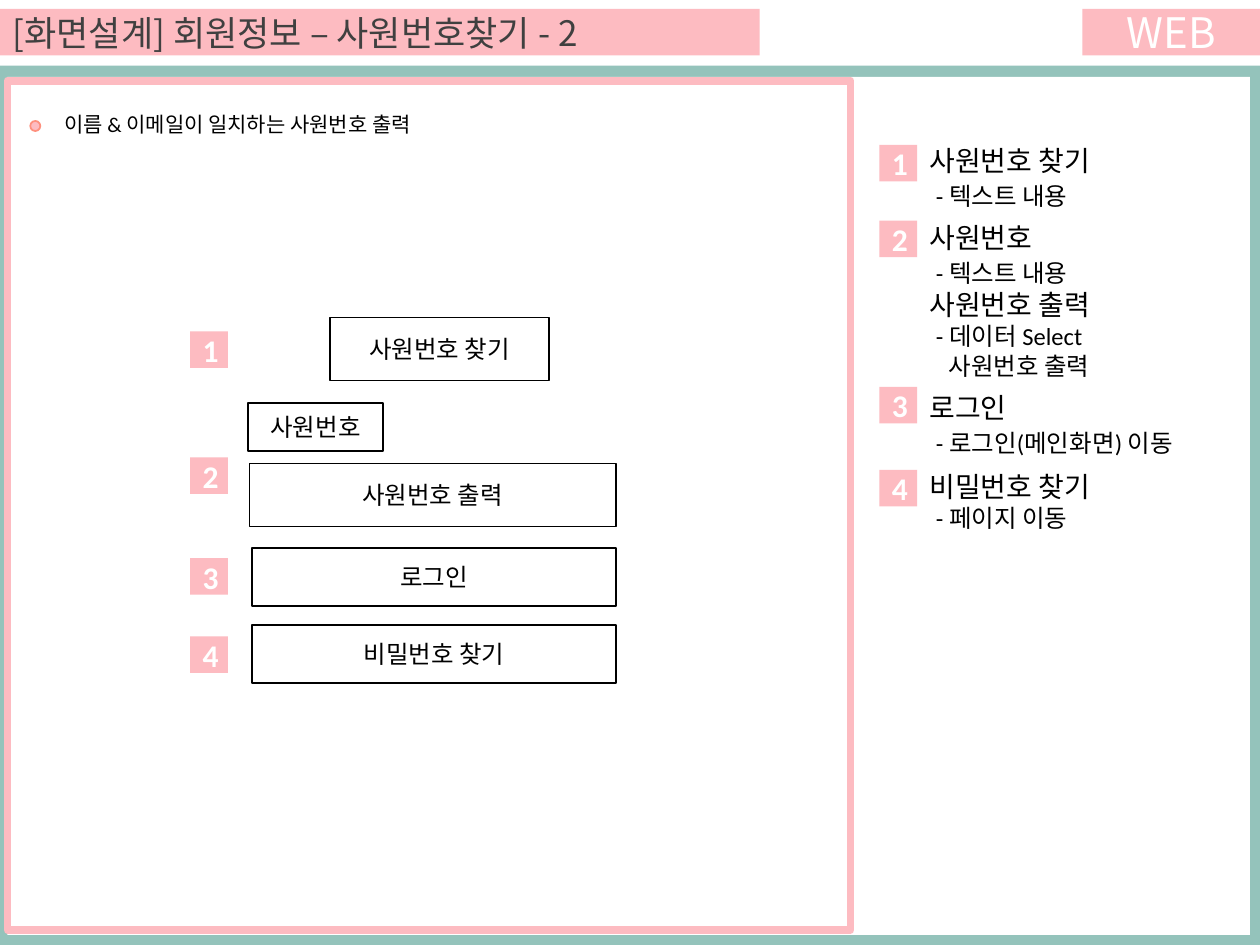
import pptx
import pptx.dml.color
import pptx.enum.shapes
import pptx.enum.text
import pptx.util

Inches = pptx.util.Inches
Pt = pptx.util.Pt
RGBColor = pptx.dml.color.RGBColor
Shape = pptx.enum.shapes.MSO_SHAPE
Align = pptx.enum.text.PP_ALIGN
Anchor = pptx.enum.text.MSO_ANCHOR

PINK = RGBColor(0xFD, 0xBB, 0xC1)
CORAL = RGBColor(0xFE, 0x90, 0x7E)
TEAL = RGBColor(0x94, 0xC3, 0xBB)
WHITE = RGBColor(0xFF, 0xFF, 0xFF)
BLACK = RGBColor(0x00, 0x00, 0x00)
GRAY = RGBColor(0x40, 0x40, 0x40)
BODY_FONT = "Calibri"
HEADER_FONT = "Noto Sans CJK KR"


def write(paragraph, text, size=14, color=BLACK, font=BODY_FONT, bold=False,
          align=Align.LEFT, indent=0, before=0):
    properties = paragraph._p.get_or_add_pPr()
    properties.set("marL", str(Inches(indent)))
    properties.set("indent", "0")
    paragraph.alignment = align
    paragraph.space_before = Pt(before)
    run = paragraph.add_run()
    run.text = text
    run.font.size = Pt(size)
    run.font.name = font
    run.font.bold = bold
    run.font.color.rgb = color


def add_box(slide, box, fill=None, line=None, line_width=1, kind=Shape.RECTANGLE,
            text=None, **text_format):
    shape = slide.shapes.add_shape(kind, *map(Inches, box))
    shape.shadow.inherit = False
    if fill is None:
        shape.fill.background()
    else:
        shape.fill.solid()
        shape.fill.fore_color.rgb = fill
    if line is None:
        shape.line.fill.background()
    else:
        shape.line.color.rgb = line
        shape.line.width = Pt(line_width)
    if text:
        shape.text_frame.vertical_anchor = Anchor.MIDDLE
        write(shape.text_frame.paragraphs[0], text, align=Align.CENTER, **text_format)


def add_text_frame(slide, box):
    frame = slide.shapes.add_textbox(*map(Inches, box)).text_frame
    frame.word_wrap = True
    return frame


def add_number(slide, left, top, number):
    add_box(slide, (left, top, 0.3, 0.29), PINK, text=str(number),
            size=18, color=WHITE, bold=True)


def add_header(slide, top, height):
    title = slide.shapes.title
    title.left, title.top, title.width, title.height = map(Inches, (0, top, 6.03, height))
    title.fill.solid()
    title.fill.fore_color.rgb = PINK
    frame = title.text_frame
    frame.auto_size = pptx.enum.text.MSO_AUTO_SIZE.NONE
    frame.vertical_anchor = Anchor.MIDDLE
    write(frame.paragraphs[0], "[화면설계] 회원정보 – 사원번호찾기 - 2",
          size=20, color=GRAY, font=HEADER_FONT)
    add_box(slide, (8.59, top, 1.41, height), PINK, text="WEB",
            size=24, color=WHITE, font=HEADER_FONT)


def add_frame(slide, left, top, width, height):
    add_box(slide, (left, top, width, height), TEAL)
    add_box(slide, (left + 0.06, top + 0.09, width - 0.14, height - 0.17), WHITE)
    add_box(slide, (left + 0.06, top + 0.12, 6.69, 6.74), line=PINK, line_width=4.5)


def add_summary(slide, left, top):
    add_box(slide, (left, top + 0.12, 0.08, 0.08), PINK, CORAL, kind=Shape.OVAL)
    frame = add_text_frame(slide, (left + 0.13, top, 3.86, 0.3))
    write(frame.paragraphs[0], "이름 & 이메일이 일치하는 사원번호 출력",
          size=12, indent=0.04)


def add_wireframe(slide, left, top):
    """Draw the screen's fields, with their numbers down the left side."""
    fields = [
        (1.11, 0, 1.74, 0.5, "사원번호 찾기"),
        (0.46, 0.68, 1.07, 0.38, "사원번호"),
        (0.47, 1.16, 2.91, 0.5, "사원번호 출력"),
        (0.49, 1.83, 2.89, 0.46, "로그인"),
        (0.49, 2.44, 2.89, 0.46, "비밀번호 찾기"),
    ]
    for x, y, width, height, label in fields:
        add_box(slide, (left + x, top + y, width, height), WHITE, BLACK, text=label)
    for number, y in enumerate((0.11, 1.11, 1.91, 2.53), start=1):
        add_number(slide, left, top + y, number)


def add_description(slide, left, top, width, height, number, number_offset, lines):
    add_number(slide, left, top + number_offset, number)
    frame = add_text_frame(slide, (left + 0.3, top, width - 0.3, height))
    for index, (text, line_format) in enumerate(lines):
        paragraph = frame.add_paragraph() if index else frame.paragraphs[0]
        write(paragraph, text, **line_format)


def add_descriptions(slide, left, width):
    heading = {"size": 16}
    detail = {"indent": 0.05}
    spaced_detail = {"indent": 0.05, "before": 2.5}
    descriptions = [
        (1.09, 0.64, 0.06, [("사원번호 찾기", heading), ("- 텍스트 내용", spaced_detail)]),
        (1.7, 1.38, 0.05, [("사원번호", heading), ("- 텍스트 내용", spaced_detail),
                           ("사원번호 출력", heading), ("- 데이터 Select", detail),
                           ("사원번호 출력", {"indent": 0.15})]),
        (3.05, 0.64, 0.02, [("로그인", heading),
                            ("- 로그인(메인화면) 이동", spaced_detail)]),
        (3.68, 0.61, 0.05, [("비밀번호 찾기", heading), ("- 페이지 이동", detail)]),
    ]
    for number, (top, height, offset, lines) in enumerate(descriptions, start=1):
        add_description(slide, left, top, width, height, number, offset, lines)


def main():
    presentation = pptx.Presentation()
    presentation.slide_width = Inches(10)
    presentation.slide_height = Inches(7.5)
    slide = presentation.slides.add_slide(presentation.slide_layouts.get_by_name("Title Only"))
    add_header(slide, 0.07, 0.37)
    add_frame(slide, 0, 0.52, 10, 6.98)
    add_summary(slide, 0.24, 0.84)
    add_wireframe(slide, 1.51, 2.52)
    add_descriptions(slide, 6.98, 2.95)
    presentation.save("out.pptx")


if __name__ == "__main__":
    main()
